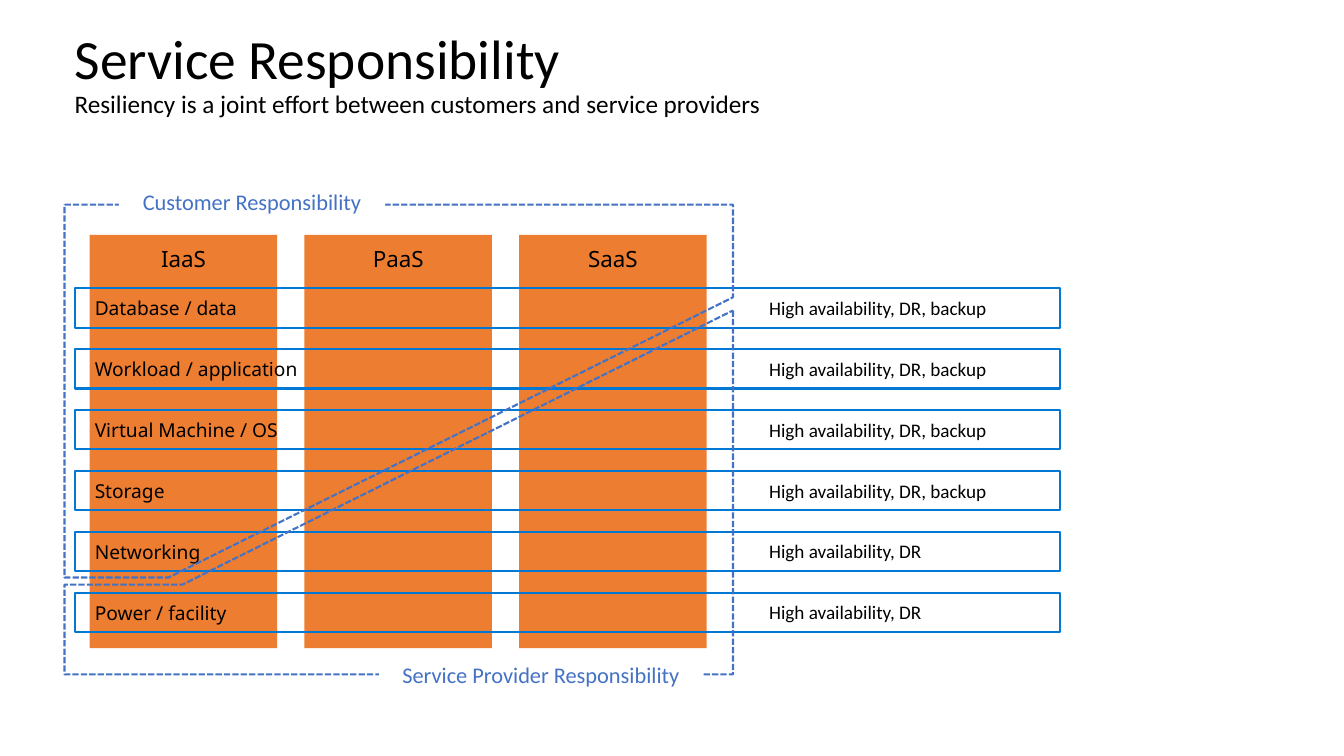
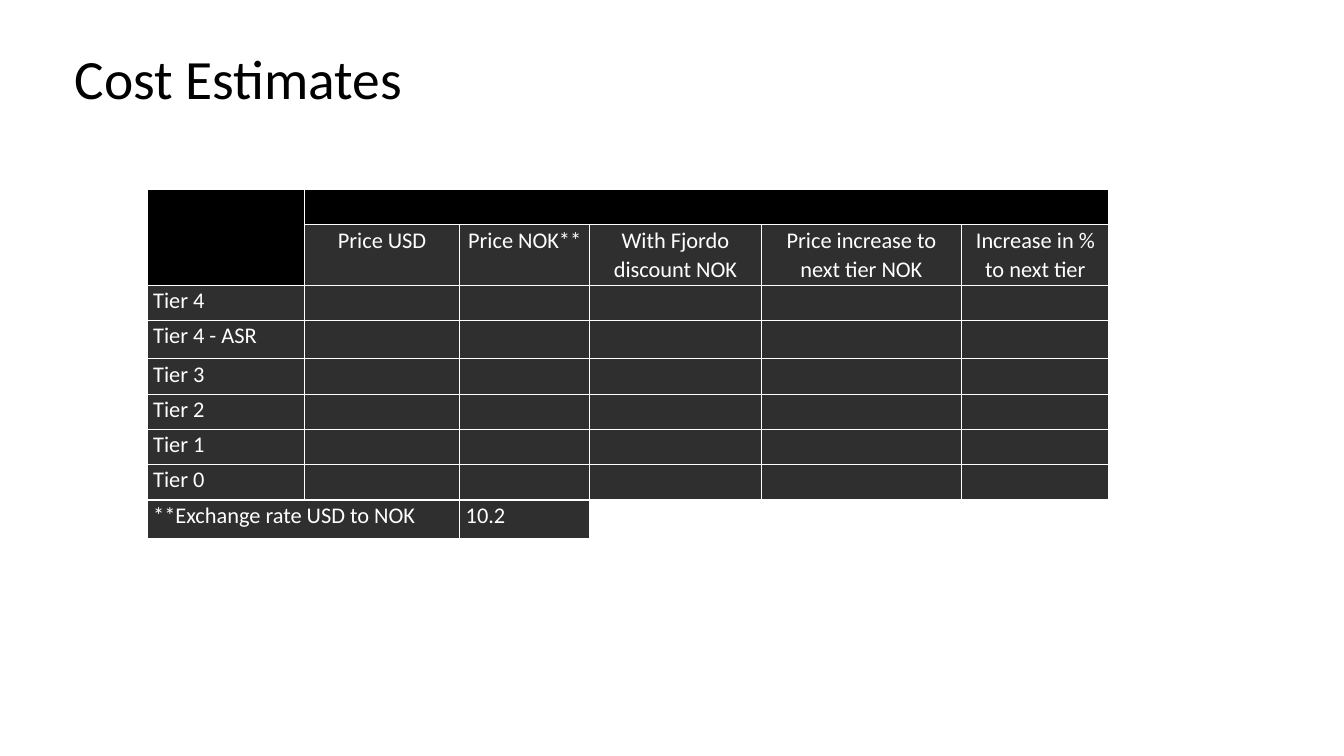
from lxml import etree
from pptx import Presentation
from pptx.dml.color import RGBColor
from pptx.enum.dml import MSO_LINE_DASH_STYLE as Dash
from pptx.enum.shapes import MSO_SHAPE as Preset
from pptx.enum.text import MSO_ANCHOR as Anchor, MSO_AUTO_SIZE as AutoSize, PP_ALIGN as Align
from pptx.oxml.ns import qn
from pptx.util import Inches, Pt

COLORS = {
    "text": "000000",
    "paper": "FFFFFF",
    "service": "ED7D31",
    "layer": "0078D4",
    "duty": "4472C4",
    "cell": "2F2F2F",
}
BODY_FONT = "Calibri"
DIAGRAM_FONT = "Noto Sans"

SERVICES = ["IaaS", "PaaS", "SaaS"]
FULL_COVER = "High availability, DR, backup"
BASIC_COVER = "High availability, DR"
LAYERS = [
    ("Database / data", FULL_COVER),
    ("Workload / application", FULL_COVER),
    ("Virtual Machine / OS", FULL_COVER),
    ("Storage", FULL_COVER),
    ("Networking", BASIC_COVER),
    ("Power / facility", BASIC_COVER),
]
LAYER_TOP = 2.86
LAYER_PITCH = (5.88 - LAYER_TOP) / (len(LAYERS) - 1)

CUSTOMER_OUTLINE = [(0.64, 2.03), (7.27, 2.03), (7.27, 2.95), (1.67, 5.73), (0.64, 5.73)]
PROVIDER_OUTLINE = [(7.27, 3.08), (7.27, 6.69), (0.64, 6.69), (0.64, 5.8), (1.81, 5.8)]

COLUMN_WIDTHS = [1.56, 1.54, 1.29, 1.7, 1.99, 1.46]
ROW_HEIGHTS = [0.35, 0.6, 0.35, 0.38, 0.35, 0.35, 0.35, 0.35, 0.38]
COST_ROWS = [
    [],
    ["", "Price USD", "Price NOK**", "With Fjordo discount NOK",
     "Price increase to next tier NOK", "Increase in % to next tier"],
    ["Tier 4"],
    ["Tier 4 - ASR"],
    ["Tier 3"],
    ["Tier 2"],
    ["Tier 1"],
    ["Tier 0"],
    ["**Exchange rate USD to NOK", "", "10.2"],
]


def color(name):
    """Return the named palette colour."""
    return RGBColor.from_string(COLORS[name])


def style_para(para, size, ink="text", font=BODY_FONT, align=Align.LEFT):
    """Format a paragraph and its runs."""
    para.alignment = align
    for span in para.runs:
        span.font.size = Pt(size)
        span.font.name = font
        span.font.color.rgb = color(ink)


def add_page(deck, title, height, subtitle=None):
    """Add a page with a title and, if given, a line below it."""
    page = deck.slides.add_slide(deck.slide_layouts[5])
    box = page.shapes.title
    box.left, box.top = Inches(0.64), Inches(0.5)
    box.width, box.height = Inches(12.05), Inches(height)
    frame = box.text_frame
    frame.text = f"{title}\n{subtitle}" if subtitle else title
    frame.auto_size = AutoSize.NONE
    frame.vertical_anchor = Anchor.MIDDLE
    if subtitle:
        frame.margin_bottom = Inches(0.6)
    for para, size in zip(frame.paragraphs, (39.6, 18)):
        style_para(para, size)
        para.line_spacing = 0.9
    return page


def add_box(page, area, text, size, fill=None, line=None, anchor=Anchor.TOP, inset=0.1, **style):
    """Add a rectangle with styled text."""
    box = page.shapes.add_shape(Preset.RECTANGLE, *map(Inches, area))
    box.shadow.inherit = False
    if fill:
        box.fill.solid()
        box.fill.fore_color.rgb = color(fill)
    else:
        box.fill.background()
    if line:
        box.line.color.rgb = color(line)
        box.line.width = Pt(1.5)
    else:
        box.line.fill.background()
    frame = box.text_frame
    frame.text = text
    frame.word_wrap = True
    frame.vertical_anchor = anchor
    frame.margin_left = Inches(inset)
    frame.margin_right = frame.margin_top = frame.margin_bottom = Inches(0.1)
    style_para(frame.paragraphs[0], size, **style)


def add_note(page, area, text):
    """Add a plain text box."""
    frame = page.shapes.add_textbox(*map(Inches, area)).text_frame
    frame.text = text
    frame.word_wrap = True
    style_para(frame.paragraphs[0], 13.7)


def add_duty(page, outline, label, area, anchor):
    """Add a dashed outline with its label over the edge."""
    points = [(Inches(x), Inches(y)) for x, y in outline]
    builder = page.shapes.build_freeform(*points[0])
    builder.add_line_segments(points[1:], close=True)
    shape = builder.convert_to_shape()
    shape.shadow.inherit = False
    shape.fill.background()
    shape.line.color.rgb = color("duty")
    shape.line.width = Pt(1.5)
    shape.line.dash_style = Dash.SQUARE_DOT
    add_box(page, area, label, 16, fill="paper", anchor=anchor, ink="duty", align=Align.CENTER)


def add_borders(cell):
    """Draw a thin light line on each side of a cell."""
    props = cell._tc.get_or_add_tcPr()
    for index, side in enumerate("LRTB"):
        line = etree.Element(qn(f"a:ln{side}"), w=str(Pt(1)))
        fill = etree.SubElement(line, qn("a:solidFill"))
        etree.SubElement(fill, qn("a:srgbClr"), val=COLORS["paper"])
        props.insert(index, line)


def fill_cell(cell, text, fill, align):
    """Set the fill, borders and text of a cell."""
    cell.fill.solid()
    cell.fill.fore_color.rgb = color(fill)
    add_borders(cell)
    cell.margin_left = cell.margin_right = Inches(0.06)
    cell.margin_top = cell.margin_bottom = 0
    if text:
        cell.text_frame.text = text
        para = cell.text_frame.paragraphs[0]
        style_para(para, 16, "paper", align=align)
        para.line_spacing = 1.07
        para.space_after = Pt(8)


def cell_fill(row, column):
    """Return the fill name for a place in the cost table."""
    if row == 0 or (row == 1 and column == 0):
        return "text"
    if row == len(ROW_HEIGHTS) - 1 and column > 2:
        return "paper"
    return "cell"


def add_cost_table(page):
    """Add the table of prices per tier."""
    area = (1.46, 1.88, sum(COLUMN_WIDTHS), sum(ROW_HEIGHTS))
    table = page.shapes.add_table(
        len(ROW_HEIGHTS), len(COLUMN_WIDTHS), *map(Inches, area)).table
    table.first_row = table.horz_banding = False
    for column, width in zip(table.columns, COLUMN_WIDTHS):
        column.width = Inches(width)
    for row, height in zip(table.rows, ROW_HEIGHTS):
        row.height = Inches(height)
    for r, texts in enumerate(COST_ROWS):
        align = Align.CENTER if r == 1 else Align.LEFT
        for c in range(len(COLUMN_WIDTHS)):
            text = texts[c] if c < len(texts) else ""
            fill_cell(table.cell(r, c), text, cell_fill(r, c), align)
    for first, last in [((0, 0), (1, 0)), ((0, 1), (0, 5)), ((8, 0), (8, 1)), ((8, 3), (8, 5))]:
        table.cell(*first).merge(table.cell(*last))


def build_responsibility(deck):
    """Build the page on shared responsibility."""
    page = add_page(deck, "Service Responsibility", 1.04,
                    "Resiliency is a joint effort between customers and service providers")
    for index, service in enumerate(SERVICES):
        add_box(page, (0.89 + 2.13 * index, 2.33, 1.86, 4.1), service, 16,
                fill="service", font=DIAGRAM_FONT, align=Align.CENTER)
    tops = [LAYER_TOP + LAYER_PITCH * index for index in range(len(LAYERS))]
    for top, (layer, _) in zip(tops, LAYERS):
        add_box(page, (0.74, top, 9.77, 0.39), layer, 13.7, line="layer",
                anchor=Anchor.MIDDLE, inset=0.2, font=DIAGRAM_FONT)
    add_duty(page, CUSTOMER_OUTLINE, "Customer Responsibility",
             (1.18, 1.77, 2.64, 0.47), Anchor.TOP)
    add_duty(page, PROVIDER_OUTLINE, "Service Provider Responsibility",
             (3.76, 6.46, 3.21, 0.47), Anchor.BOTTOM)
    for top, (_, cover) in zip(tops, LAYERS):
        width = 2.6 if cover == FULL_COVER else 1.88
        add_note(page, (7.53, top + 0.03, width, 0.33), cover)


def main():
    """Build and save the deck."""
    deck = Presentation()
    deck.slide_width, deck.slide_height = Inches(13.33), Inches(7.5)
    build_responsibility(deck)
    add_cost_table(add_page(deck, "Cost Estimates", 0.61))
    deck.save("out.pptx")


if __name__ == "__main__":
    main()
